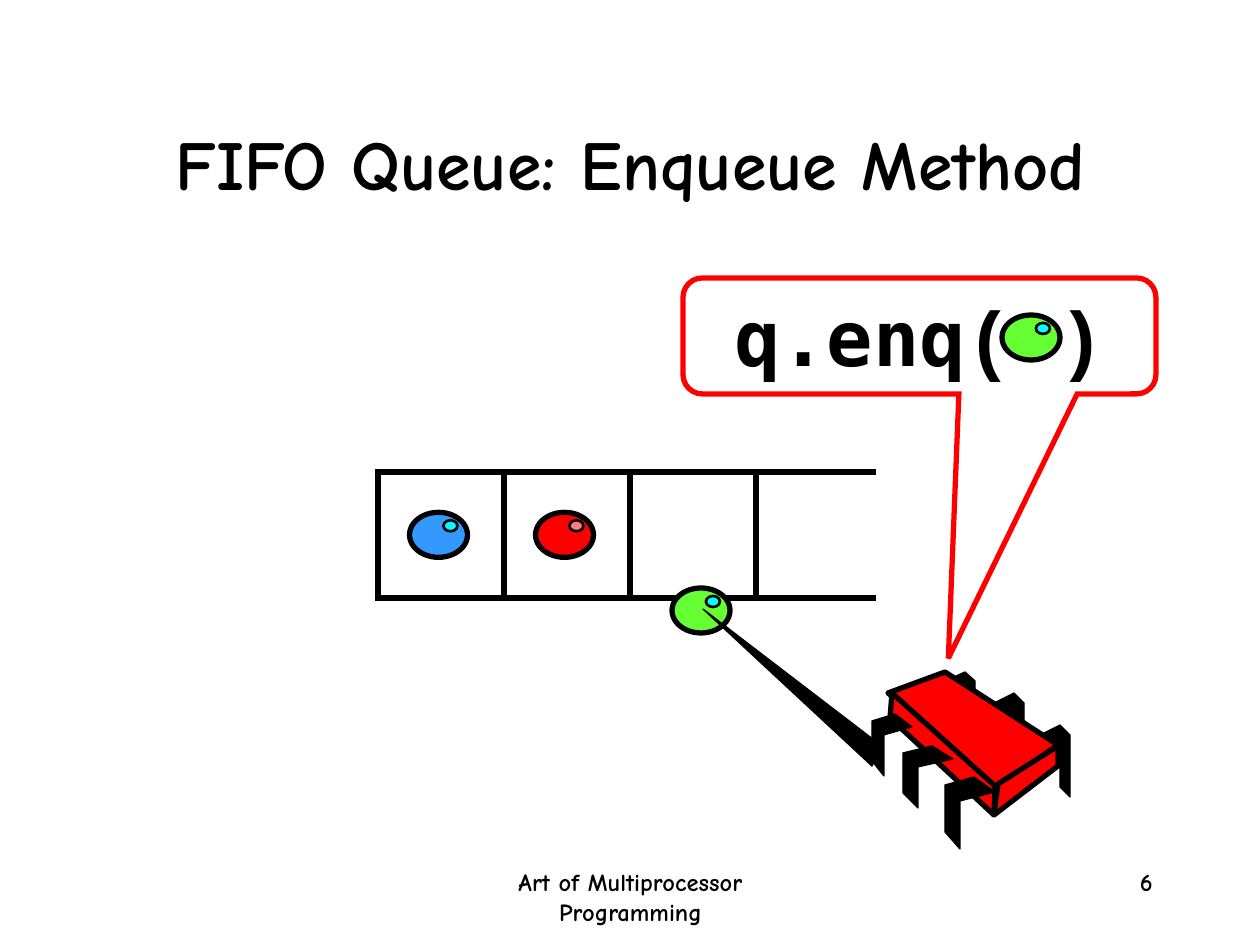
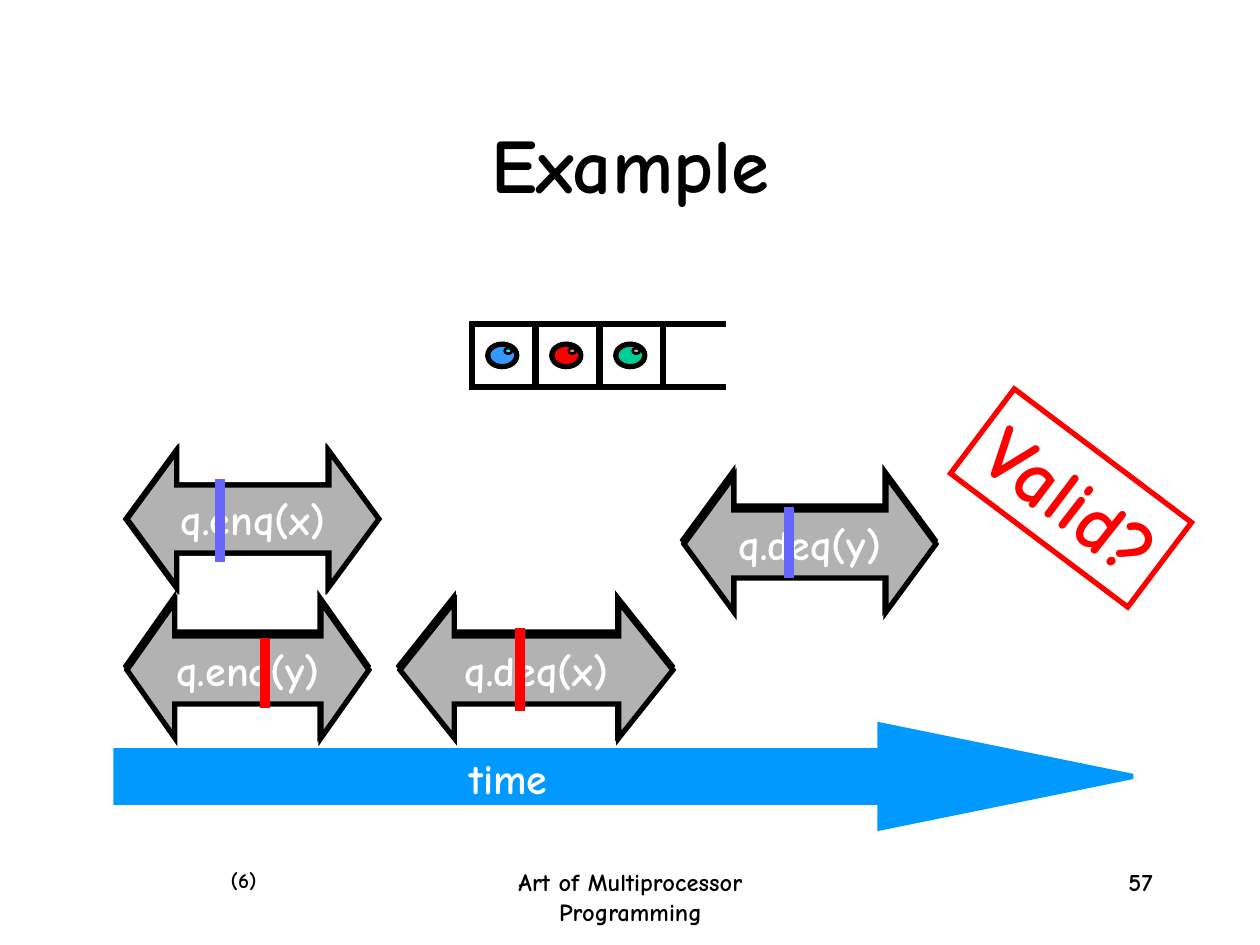
from lxml import etree
from pptx import Presentation
from pptx.dml.color import RGBColor
from pptx.enum.shapes import MSO_CONNECTOR, MSO_SHAPE
from pptx.enum.text import MSO_ANCHOR, PP_ALIGN
from pptx.oxml.ns import qn
from pptx.util import Emu, Pt

PX = 914400 / 126
FONT = "Comic Neue"
CODE = "DejaVu Sans Mono"
MONO = "Courier New"
OVAL, RECT = MSO_SHAPE.OVAL, MSO_SHAPE.RECTANGLE
CALL = MSO_SHAPE.ROUNDED_RECTANGULAR_CALLOUT
SPAN, ARROW = MSO_SHAPE.LEFT_RIGHT_ARROW, MSO_SHAPE.RIGHT_ARROW
LINE = MSO_CONNECTOR.STRAIGHT
MID, RIGHT = PP_ALIGN.CENTER, PP_ALIGN.RIGHT
TOP, HALF = MSO_ANCHOR.TOP, MSO_ANCHOR.MIDDLE
COLORS = {
    "black": "000000", "white": "FFFFFF", "red": "FF0000",
    "blue": "3399FF", "green": "66FF33", "teal": "00CC99",
    "cyan": "00FFFF", "pink": "FF7C80", "gray": "B2B2B2",
    "violet": "6666FF", "sky": "0099FF",
}
BLUE, RED = ("blue", "cyan"), ("red", "pink")
GREEN, TEAL = ("green", "cyan"), ("teal", "gray")
FOOT = "Art of Multiprocessor Programming"


def px(n):
    return Emu(round(n * PX))


def rgb(name):
    return RGBColor.from_string(COLORS[name])


def paint(shape, fill, line, width):
    shape.shadow.inherit = False
    if fill:
        shape.fill.solid()
        shape.fill.fore_color.rgb = rgb(fill)
    else:
        shape.fill.background()
    shape.line.color.rgb = rgb(line)
    shape.line.width = Pt(width)


def form(slide, kind, box, fill=None, line="black", width=3, adj=()):
    shape = slide.shapes.add_shape(kind, *map(px, box))
    paint(shape, fill, line, width)
    edge = shape._element.spPr.find(qn("a:ln"))
    etree.SubElement(edge, qn("a:miter")).set("lim", "800000")
    for i, value in enumerate(adj):
        shape.adjustments[i] = value
    return shape


def poly(slide, x, y, points, fill="black", width=0.75):
    start, *rest = [(x + dx, y + dy) for dx, dy in points]
    path = slide.shapes.build_freeform(*start, scale=PX)
    path.add_line_segments(rest, close=True)
    paint(path.convert_to_shape(), fill, "black", width)


def rule(slide, x1, y1, x2, y2, color="black", width=3):
    line = slide.shapes.add_connector(LINE, *map(px, (x1, y1, x2, y2)))
    line.line.color.rgb = rgb(color)
    line.line.width = Pt(width)
    props = line._element.spPr
    props.find(qn("a:ln")).set("cap", "sq")
    etree.SubElement(props, qn("a:effectLst"))


def write(shape, text, size, color="black", align=MID, anchor=HALF, wrap=False):
    frame = shape.text_frame
    frame.word_wrap = wrap
    frame.vertical_anchor = anchor
    para = frame.paragraphs[0]
    para.alignment = align
    para.font.size = Pt(size)
    para.font.bold = True
    para.font.color.rgb = rgb(color)
    if isinstance(text, str):
        para.font.name = FONT
        text = [(text, None)]
    for part, font in text:
        run = para.add_run()
        run.text = part
        if font:
            run.font.name = font


def label(slide, box, text, size, **style):
    write(slide.shapes.add_textbox(*map(px, box)), text, size, **style)


def frame(deck, title, size, number):
    slide = deck.slides.add_slide(deck.slide_layouts[6])
    label(slide, (431, 861, 399, 63), FOOT, 14, anchor=TOP, wrap=True)
    label(slide, (903, 861, 262, 63), number, 14,
          align=RIGHT, anchor=TOP, wrap=True)
    label(slide, (95, 84, 1071, 158), title, size, wrap=True)
    return slide


def ball(slide, x, y, look, scale=1):
    fill, glint = look
    form(slide, OVAL, (x, y, 58 * scale, 45 * scale), fill)
    form(slide, OVAL, (x + 34 * scale, y + 8 * scale, 14 * scale, 11 * scale),
         glint, width=1.5)


def queue(slide, x, y, cell, step, balls):
    for i in range(3):
        form(slide, RECT, (x + i * step, y, cell, cell))
    rail = x + 3 * step - cell // 13
    for edge in (y, y + cell):
        rule(slide, rail, edge, rail + cell, edge)
    for i, look in enumerate(balls):
        ball(slide, x + i * step + cell / 4, y + cell * 0.32, look, cell / 126)


def bug(slide, x, y):
    back = [(0, 10), (20, 0), (30, 10), (30, 72), (20, 62), (20, 20), (0, 30)]
    front = [(29, 0), (50, 15), (15, 24), (15, 72), (0, 55), (0, 8)]
    body = [
        [(73, 0), (186, 73), (123, 116), (16, 21)],
        [(20, 21), (123, 114), (122, 143), (18, 46)],
        [(186, 74), (186, 94), (122, 143), (126, 112)],
    ]

    def leg(points, dx, dy, wide, high):
        poly(slide, x + dx, y + dy, [(a * wide, b * high) for a, b in points])

    for dx, dy, high in ((168, 53, 1), (122, 21, 1), (73, 0, 0.86)):
        leg(back, dx, dy, 1, high)
    for side in body:
        poly(slide, x, y, side, "red", 3)
    for dx, dy, wide, high in ((73, 105, 1, 1), (31, 74, 1, 0.86),
                               (0, 42, 0.8, 0.86)):
        leg(front, dx, dy, wide, high)
    poly(slide, x, y, [(0, 94), (10, 74), (-169, -63)])


def speech(slide, x, y):
    shape = form(slide, CALL, (x, y, 473, 116), line="red",
                 adj=(0.061, 2.78, 0.167))
    write(shape, [("q.enq", CODE), ("( )", MONO)], 44, wrap=True)
    ball(slide, x + 319, y + 37, GREEN)


def enqueue(deck):
    slide = frame(deck, "FIFO Queue: Enqueue Method", 40, "6")
    queue(slide, 378, 472, 126, 126, [BLUE, RED])
    ball(slide, 672, 588, GREEN)
    bug(slide, 872, 672)
    speech(slide, 683, 278)


def calls(slide, x, y):
    spans = [
        ("q.enq(x)", 0, 0, 252, 0, "violet"),
        ("q.enq(y)", 0, 151, 242, 4, "red"),
        ("q.deq(x)", 273, 151, 273, 4, "red"),
        ("q.deq(y)", 557, 25, 252, 4, "violet"),
    ]
    marks = [(93, 33, 93, 106), (138, 192, 138, 252),
             (393, 182, 393, 255), (662, 61, 662, 122)]

    def span(dx, dy, wide, fill):
        head = 0.367 + (wide - 252) * 0.0015
        return form(slide, SPAN, (x + dx, y + dy, wide, 136), fill,
                    adj=(0.5, head))

    for _, dx, dy, wide, drop, color in spans:
        span(dx - 1, dy - drop, wide, color)
    for (text, dx, dy, wide, _, color), (x1, y1, x2, y2) in zip(spans, marks):
        write(span(dx, dy, wide, "gray"), text, 24, "white")
        rule(slide, x + x1, y + y1, x + x2, y + y2, color, 6)


def clock(slide, x, y):
    form(slide, ARROW, (x, y, 1017, 103), "sky", "sky", adj=(0.5, 2.457))
    label(slide, (x + 341, y + 21, 103, 63), "time", 24,
          color="white", align=RIGHT, anchor=TOP)


def example(deck):
    slide = frame(deck, "Example", 44, "57")
    queue(slide, 472, 324, 63, 64, [BLUE, RED, TEAL])
    stamp = form(slide, RECT, (960, 445, 222, 106), line="red")
    stamp.rotation = 37
    write(stamp, "Valid?", 44, "red", RIGHT, TOP)
    calls(slide, 127, 451)
    clock(slide, 116, 725)
    label(slide, (189, 861, 80, 38), "(6)", 12, align=RIGHT, anchor=TOP,
          wrap=True)


def main():
    deck = Presentation()
    deck.slide_width, deck.slide_height = px(1260), px(945)
    enqueue(deck)
    example(deck)
    deck.save("out.pptx")


if __name__ == "__main__":
    main()
